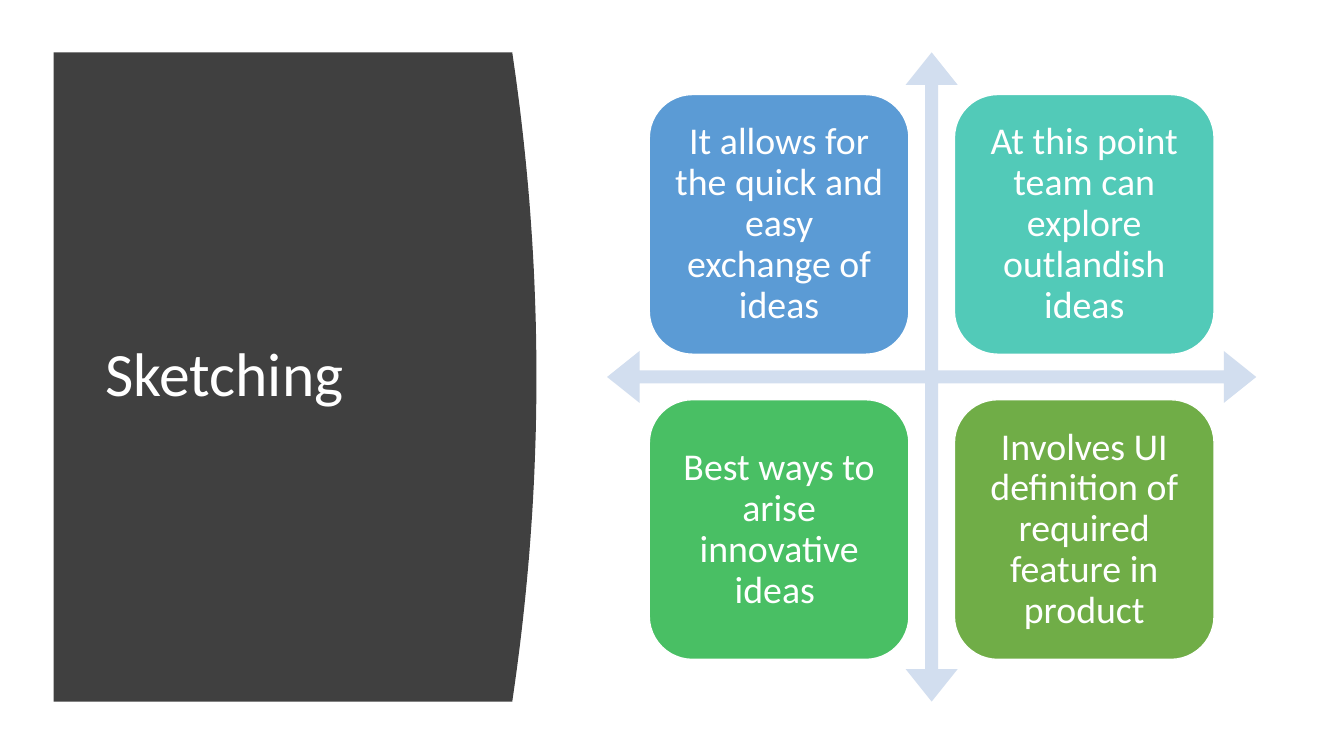
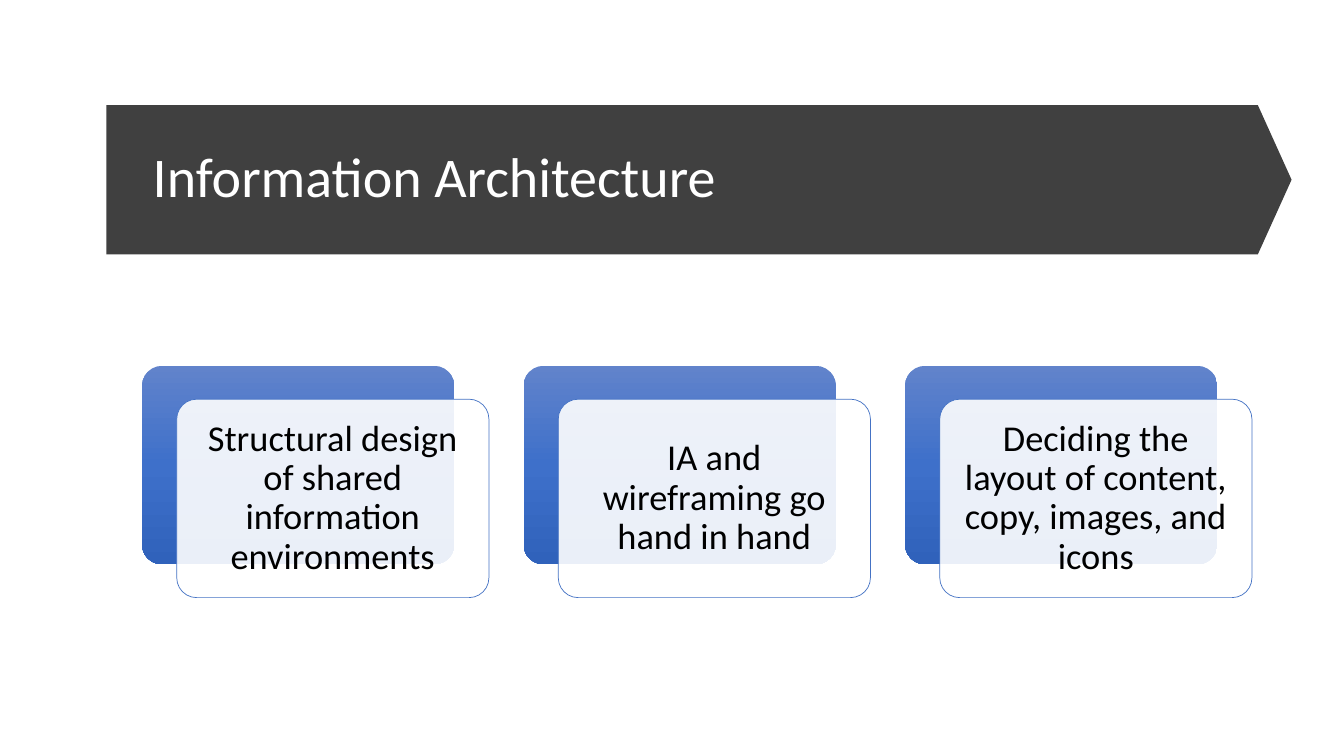
from copy import deepcopy
from dataclasses import dataclass

from lxml import etree
from pptx import Presentation
from pptx.dml.color import RGBColor
from pptx.enum.shapes import MSO_SHAPE
from pptx.enum.text import MSO_ANCHOR, PP_ALIGN
from pptx.oxml.ns import qn
from pptx.util import Cm, Pt

ROUNDED = MSO_SHAPE.ROUNDED_RECTANGLE
QUAD_ARROW = MSO_SHAPE.QUAD_ARROW
PENTAGON = MSO_SHAPE.PENTAGON
MIDDLE = MSO_ANCHOR.MIDDLE
LEFT, CENTER = PP_ALIGN.LEFT, PP_ALIGN.CENTER


@dataclass(frozen=True)
class Theme:
    font: str = "Calibri"
    dark: str = "404040"
    white: str = "FFFFFF"
    black: str = "000000"
    arrows: str = "D2DEEF"
    outline: str = "4472C4"
    quadrants: tuple = ("5B9BD5", "52CAB8", "49BF64", "70AD47")
    gradient: tuple = ("6183CB", "3E70CA", "3062BB")
    panel_title: int = 44
    banner_title: int = 40
    quadrant_text: int = 27
    card_text: int = 26
    line_spacing: float = 0.9
    card_inset: float = 0.28


THEME = Theme()

IDEAS = (
    "It allows for the quick and easy exchange of ideas",
    "At this point team can explore outlandish ideas",
    "Best ways to arise innovative ideas ",
    "Involves UI definition of required feature in product",
)
ARCHITECTURE = (
    "Structural design of shared information environments",
    "IA and wireframing go hand in hand",
    "Deciding the layout of content, copy, images, and icons",
)


def paint(shape, fill, line=None, weight=1):
    shape.shadow.inherit = False
    shape.fill.solid()
    shape.fill.fore_color.rgb = RGBColor.from_string(fill)
    if line:
        shape.line.color.rgb = RGBColor.from_string(line)
        shape.line.width = Pt(weight)
    else:
        shape.line.fill.background()


def add_preset(slide, preset, left, top, width, height, adjustments=()):
    shape = slide.shapes.add_shape(
        preset, Cm(left), Cm(top), Cm(width), Cm(height))
    for index, value in enumerate(adjustments):
        shape.adjustments[index] = value
    return shape


def write(shape, text, size, color, align, left_inset, other_inset):
    frame = shape.text_frame
    frame.word_wrap = True
    frame.vertical_anchor = MIDDLE
    frame.margin_left = Cm(left_inset)
    frame.margin_top = frame.margin_right = frame.margin_bottom = Cm(other_inset)
    frame.text = text
    paragraph = frame.paragraphs[0]
    paragraph.alignment = align
    paragraph.line_spacing = THEME.line_spacing
    font = paragraph.runs[0].font
    font.name = THEME.font
    font.size = Pt(size)
    font.color.rgb = RGBColor.from_string(color)


def write_title(shape, text, size, indent):
    paint(shape, THEME.dark)
    write(shape, text, size, THEME.white, LEFT, indent, 0.13)


def write_card(shape, text, size, color):
    write(shape, text, size, color, CENTER, THEME.card_inset, THEME.card_inset)


def fill_gradient(shape, colors):
    """Fill from top to bottom with three evenly spaced colours."""
    shape.shadow.inherit = False
    shape.line.fill.background()
    shape.fill.gradient()
    shape.fill.gradient_angle = 270
    stop_list = shape._element.spPr.find(qn("a:gradFill")).find(qn("a:gsLst"))
    stop_list.insert(1, deepcopy(stop_list[0]))
    for index, (stop, color) in enumerate(zip(shape.fill.gradient_stops, colors)):
        stop.position = index / 2
        stop.color.rgb = RGBColor.from_string(color)


def set_opacity(shape, percent):
    color = shape._element.spPr.find(qn("a:solidFill"))[0]
    etree.SubElement(color, qn("a:alpha")).set("val", str(percent * 1000))


def add_curved_panel(slide, title, left, top, width, height):
    """Draw the title panel, its right edge bulging as a parabola."""
    bulge, steps = 0.61, 48
    edge = []
    for step in range(steps + 1):
        offset = 2 * step / steps - 1
        x = left + width - bulge * offset ** 2
        edge.append((Cm(x), Cm(top + height * step / steps)))
    builder = slide.shapes.build_freeform(Cm(left), Cm(top))
    builder.add_line_segments(edge + [(Cm(left), Cm(top + height))], close=True)
    write_title(builder.convert_to_shape(), title, THEME.panel_title, 1.3)


def add_quadrants(slide, texts, left, top, side):
    """Draw crossed arrows with one card in each quadrant."""
    cross = add_preset(slide, QUAD_ARROW, left, top, side, side, (0.02, 0.04, 0.05))
    paint(cross, THEME.arrows)
    margin, pitch, card_side = 0.065 * side, 0.47 * side, 0.4 * side
    for index, (text, color) in enumerate(zip(texts, THEME.quadrants)):
        row, column = divmod(index, 2)
        card = add_preset(slide, ROUNDED, left + margin + column * pitch,
                          top + margin + row * pitch, card_side, card_side)
        paint(card, color, THEME.white)
        write_card(card, text, THEME.quadrant_text, THEME.white)


def add_banner(slide, title, left, top, width, height):
    banner = add_preset(slide, PENTAGON, left, top, width, height, (0.226,))
    write_title(banner, title, THEME.banner_title, 1.17)


def add_layered_cards(slide, texts, left, top, width, height):
    """Draw a row of gradient cards, each under a shifted text card."""
    shift_ratio, gap_ratio = 1 / 9, 2 / 9
    count = len(texts)
    card_width = width / (count + (count - 1) * gap_ratio + shift_ratio)
    shift_x, shift_y = card_width * shift_ratio, 0.84
    card_height = height - shift_y
    for index, text in enumerate(texts):
        x = left + index * card_width * (1 + gap_ratio)
        back = add_preset(slide, ROUNDED, x, top, card_width, card_height, (0.1,))
        fill_gradient(back, THEME.gradient)
        front = add_preset(slide, ROUNDED, x + shift_x, top + shift_y,
                           card_width, card_height, (0.1,))
        paint(front, THEME.white, THEME.outline, 0.5)
        set_opacity(front, 90)
        write_card(front, text, THEME.card_text, THEME.black)


def build_sketching(slide):
    add_curved_panel(slide, "Sketching", 1.35, 1.32, 12.17, 16.36)
    add_quadrants(slide, IDEAS, 15.3, 1.32, 16.36)


def build_architecture(slide):
    add_banner(slide, "Information Architecture", 2.68, 2.65, 29.87, 3.76)
    add_layered_cards(slide, ARCHITECTURE, 3.58, 9.22, 27.97, 5.84)


def main():
    deck = Presentation()
    deck.slide_width, deck.slide_height = Cm(33.87), Cm(19.05)
    blank = deck.slide_layouts[6]
    for build in (build_sketching, build_architecture):
        build(deck.slides.add_slide(blank))
    deck.save("out.pptx")


if __name__ == "__main__":
    main()
